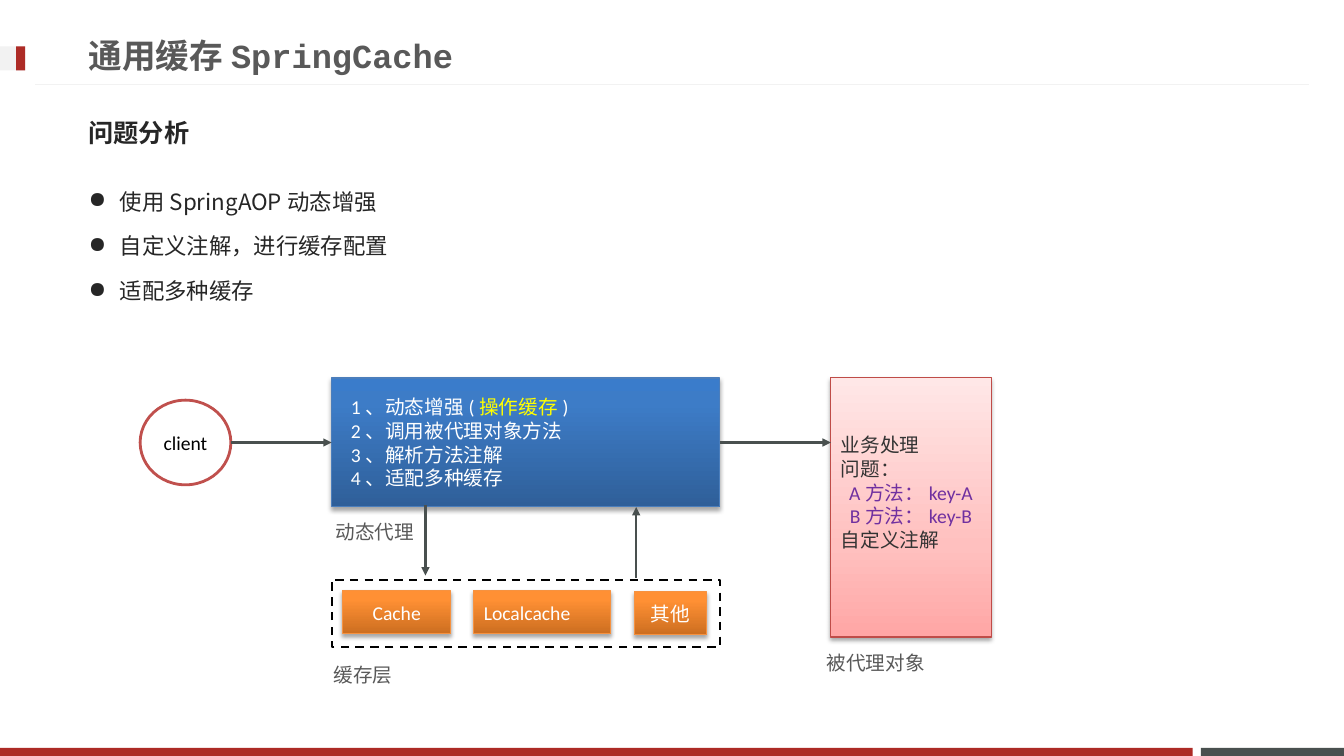
from dataclasses import dataclass
from typing import Optional

from lxml import etree
from pptx import Presentation
from pptx.dml.color import RGBColor
from pptx.enum.dml import MSO_LINE
from pptx.enum.shapes import MSO_CONNECTOR, MSO_SHAPE
from pptx.enum.text import MSO_ANCHOR, PP_ALIGN
from pptx.oxml.ns import qn
from pptx.util import Inches, Pt

RECT, OVAL = MSO_SHAPE.RECTANGLE, MSO_SHAPE.OVAL
STRAIGHT, DASH = MSO_CONNECTOR.STRAIGHT, MSO_LINE.DASH
LEFT, CENTER = PP_ALIGN.LEFT, PP_ALIGN.CENTER
TOP, MIDDLE = MSO_ANCHOR.TOP, MSO_ANCHOR.MIDDLE
BODY, HEADING, TITLE = "Calibri", "Noto Sans CJK JP", "Courier New"

COLORS = {
    "red": "AD2B26", "slate": "49504F", "pale": "F2F2F2", "white": "FFFFFF",
    "black": "000000", "gray": "595959", "ink": "262626", "dark": "333333",
    "yellow": "FFFF00", "purple": "7030A0", "client": "C0504D",
    "blue": "4B7EBC", "orange": "F69240", "pink": "BF4C48",
}
GRADIENTS = {
    "blue": ((0, "2F5F99"), (80, "3D7CC7"), (100, "3A7CCB")),
    "orange": ((0, "CC6E20"), (80, "FF9034"), (100, "FF9136")),
    "pink": ((0, "FFA6A5"), (35, "FFC0BF"), (100, "FFE7E7")),
}


@dataclass
class Para:
    """A paragraph: (text, colour) runs and their shared format."""
    runs: list[tuple[str, str]]
    align: PP_ALIGN = LEFT
    size: float = 14
    font: str = BODY
    bold: bool = False
    pitch: Optional[float] = None
    before: float = 0
    bullet: bool = False


@dataclass
class Box:
    """A shape, or a plain text box when kind is None."""
    at: tuple[float, float, float, float]
    paras: tuple[Para, ...] = ()
    kind: Optional[MSO_SHAPE] = RECT
    fill: Optional[str] = None
    gradient: Optional[str] = None
    line: Optional[str] = None
    weight: float = 0.75
    dash: bool = False
    anchor: MSO_ANCHOR = MIDDLE
    inset_left: float = 0.1
    inset_bottom: float = 0.05
    wrap: bool = True


@dataclass
class Link:
    """A straight line, with an arrowhead at its end if wanted."""
    start: tuple[float, float]
    end: tuple[float, float]
    color: str = "slate"
    weight: float = 1.5
    arrow: bool = True


def rgb(name: str) -> RGBColor:
    """Return a named colour."""
    return RGBColor.from_string(COLORS[name])


def add_color(parent, value: str):
    """Append an sRGB colour element."""
    return etree.SubElement(parent, qn("a:srgbClr"), val=value)


def set_gradient(sp, name: str) -> None:
    """Fill a shape upwards with the named gradient and cast a soft shadow."""
    sp.fill.gradient()
    sp.fill.gradient_angle = 90
    stops = sp._element.spPr.find(".//" + qn("a:gsLst"))
    for stop in list(stops):
        stops.remove(stop)
    for pos, value in GRADIENTS[name]:
        add_color(etree.SubElement(stops, qn("a:gs"), pos=str(pos * 1000)), value)
    effects = sp._element.spPr.find(qn("a:effectLst"))
    shadow = etree.SubElement(effects, qn("a:outerShdw"), blurRad=str(Pt(3.1)),
                              dist=str(Pt(1.8)), dir="5400000", rotWithShape="0")
    etree.SubElement(add_color(shadow, COLORS["black"]), qn("a:alpha"), val="35000")


def write(tf, paras: tuple[Para, ...]) -> None:
    """Write the paragraphs into a text frame."""
    for i, para in enumerate(paras):
        p = tf.add_paragraph() if i else tf.paragraphs[0]
        p.alignment, p.space_before = para.align, Pt(para.before)
        if para.pitch:
            p.line_spacing = Pt(para.pitch)
        if para.bullet:
            p_pr = p._p.get_or_add_pPr()
            p_pr.set("marL", str(Inches(0.31)))
            p_pr.set("indent", str(Inches(-0.31)))
            etree.SubElement(p_pr, qn("a:buChar"), char="●")
        p.font.size, p.font.name, p.font.bold = Pt(para.size), para.font, para.bold
        same_color = len({color for _, color in para.runs}) == 1
        if same_color:
            p.font.color.rgb = rgb(para.runs[0][1])
        for text, color in para.runs:
            r = p.add_run()
            r.text = text
            if not same_color:
                r.font.color.rgb = rgb(color)


def add_box(shapes, box: Box) -> None:
    """Draw one shape or text box."""
    at = [Inches(v) for v in box.at]
    if box.kind is None:
        sp = shapes.add_textbox(*at)
    else:
        sp = shapes.add_shape(box.kind, *at)
        sp.shadow.inherit = False
        if box.gradient:
            set_gradient(sp, box.gradient)
        elif box.fill:
            sp.fill.solid()
            sp.fill.fore_color.rgb = rgb(box.fill)
        else:
            sp.fill.background()
        if box.line:
            sp.line.color.rgb, sp.line.width = rgb(box.line), Pt(box.weight)
            if box.dash:
                sp.line.dash_style = DASH
        else:
            sp.line.fill.background()
    tf = sp.text_frame
    tf.word_wrap, tf.vertical_anchor = box.wrap, box.anchor
    tf.margin_left, tf.margin_bottom = Inches(box.inset_left), Inches(box.inset_bottom)
    write(tf, box.paras)


def add_link(shapes, link: Link) -> None:
    """Draw one line or arrow."""
    cx = shapes.add_connector(STRAIGHT, *[Inches(v) for v in link.start + link.end])
    cx.line.color.rgb, cx.line.width = rgb(link.color), Pt(link.weight)
    if link.arrow:
        etree.SubElement(cx.line._get_or_add_ln(), qn("a:tailEnd"), type="triangle")
    etree.SubElement(cx._element.spPr, qn("a:effectLst"))


def label(left: float, top: float, width: float, text: str) -> Box:
    """Return a grey caption."""
    return Box((left, top, width, 0.34), (Para([(text, "gray")]),),
               kind=None, anchor=TOP, wrap=False)


def cache(left: float, top: float, width: float, text: str, align=CENTER) -> Box:
    """Return one orange cache box."""
    return Box((left, top, width, 0.43), (Para([(text, "white")], align),),
               gradient="orange", line="orange")


PITCH = 16.9
STEPS = ([("1、动态增强(", "white"), ("操作缓存", "yellow"), (")", "white")],
         [("2、调用被代理对象方法", "white")],
         [("3、解析方法注解", "white")],
         [("4、适配多种缓存", "white")])
TARGET = (("业务处理", "dark", LEFT), ("问题：", "dark", LEFT),
          ("A方法：key-A", "purple", CENTER), ("B方法：key-B", "purple", CENTER),
          ("自定义注解", "dark", LEFT))
BULLETS = ("使用SpringAOP动态增强", "自定义注解，进行缓存配置", "适配多种缓存")

BOXES = (
    Box((11.91, 7.42, 1.42, 0.08), fill="slate"),
    Box((0, 7.42, 11.83, 0.08), fill="red"),
    Box((0, 0.46, 0.25, 0.24), fill="pale"),
    Box((0.16, 0.46, 0.09, 0.24), fill="red"),
    Box((0.78, 0.26, 9.59, 0.57), kind=None, paras=(
        Para([("通用缓存SpringCache", "gray")], size=24, font=TITLE, bold=True),)),
    Box((0.78, 1.03, 11.7, 0.57), kind=None, paras=(
        Para([("问题分析", "ink")], size=18, font=HEADING, bold=True),)),
    Box((0.78, 1.68, 9.59, 1.57), kind=None, anchor=TOP, paras=tuple(
        Para([(text, "ink")], size=16, font=HEADING, pitch=28.8, before=3.2, bullet=True)
        for text in BULLETS)),
    Box((3.29, 3.75, 3.85, 1.28), gradient="blue", line="blue", inset_left=0.19,
        paras=tuple(Para(runs, pitch=PITCH) for runs in STEPS)),
    cache(3.4, 5.86, 1.07, "Cache"),
    cache(4.7, 5.86, 1.36, "Localcache", LEFT),
    cache(6.29, 5.87, 0.72, "其他"),
    Box((8.24, 3.75, 1.59, 2.57), gradient="pink", line="pink", inset_bottom=0.35,
        paras=tuple(Para([(text, color)], align, pitch=PITCH)
                    for text, color, align in TARGET)),
    Box((1.39, 3.97, 0.9, 0.84), (Para([("client", "black")], CENTER),),
        kind=OVAL, fill="white", line="client", weight=2),
    Box((3.29, 5.75, 3.85, 0.67), line="black", weight=1.5, dash=True),
    label(3.21, 6.53, 0.79, "缓存层"),
    label(3.23, 5.11, 0.99, "动态代理"),
    label(8.1, 6.41, 1.18, "被代理对象"),
)
LINKS = (
    Link((12.98, 0.84), (0.35, 0.84), "pale", 0.75, arrow=False),
    Link((2.29, 4.39), (3.29, 4.39)),
    Link((7.14, 4.39), (8.24, 4.39)),
    Link((4.22, 5.01), (4.22, 5.71)),
    Link((6.31, 5.73), (6.31, 5.03)),
)

prs = Presentation()
prs.slide_width, prs.slide_height = Inches(13.33), Inches(7.5)
slide = prs.slides.add_slide(prs.slide_layouts[6])
for box in BOXES:
    add_box(slide.shapes, box)
for link in LINKS:
    add_link(slide.shapes, link)
prs.save("out.pptx")
